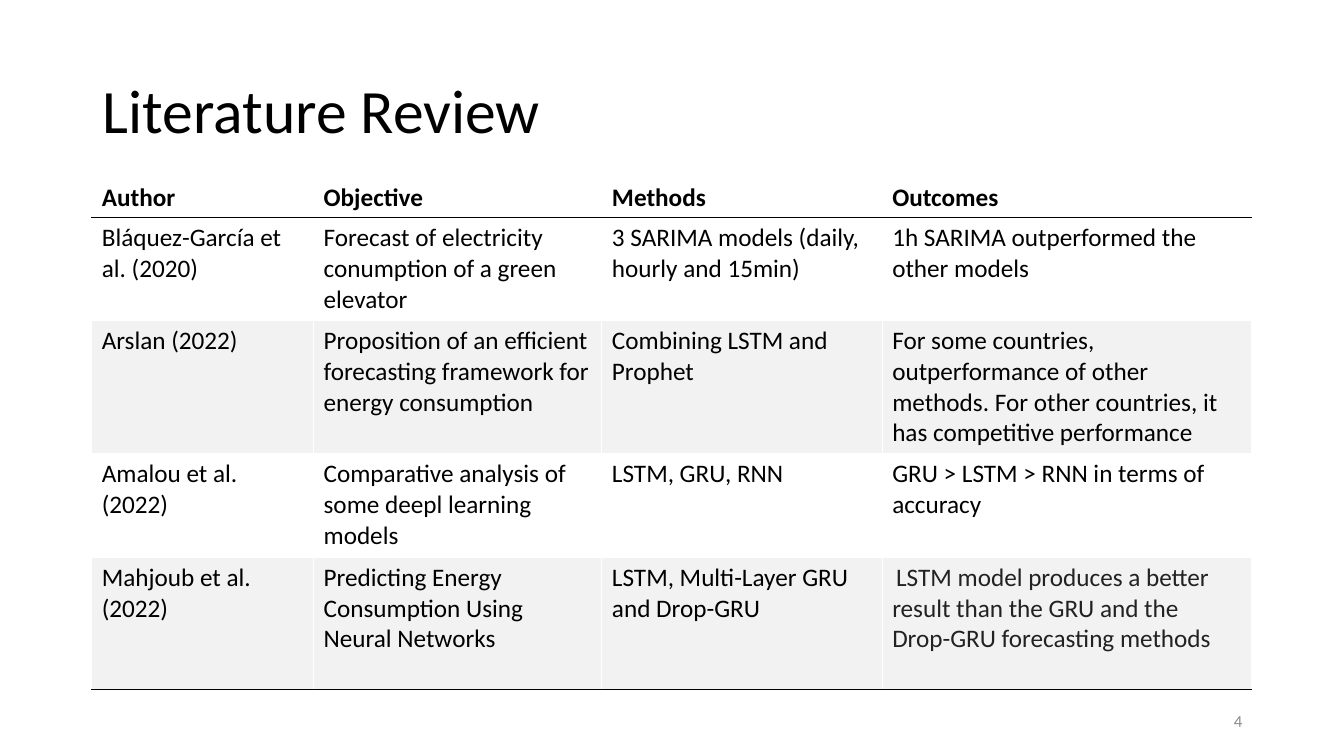
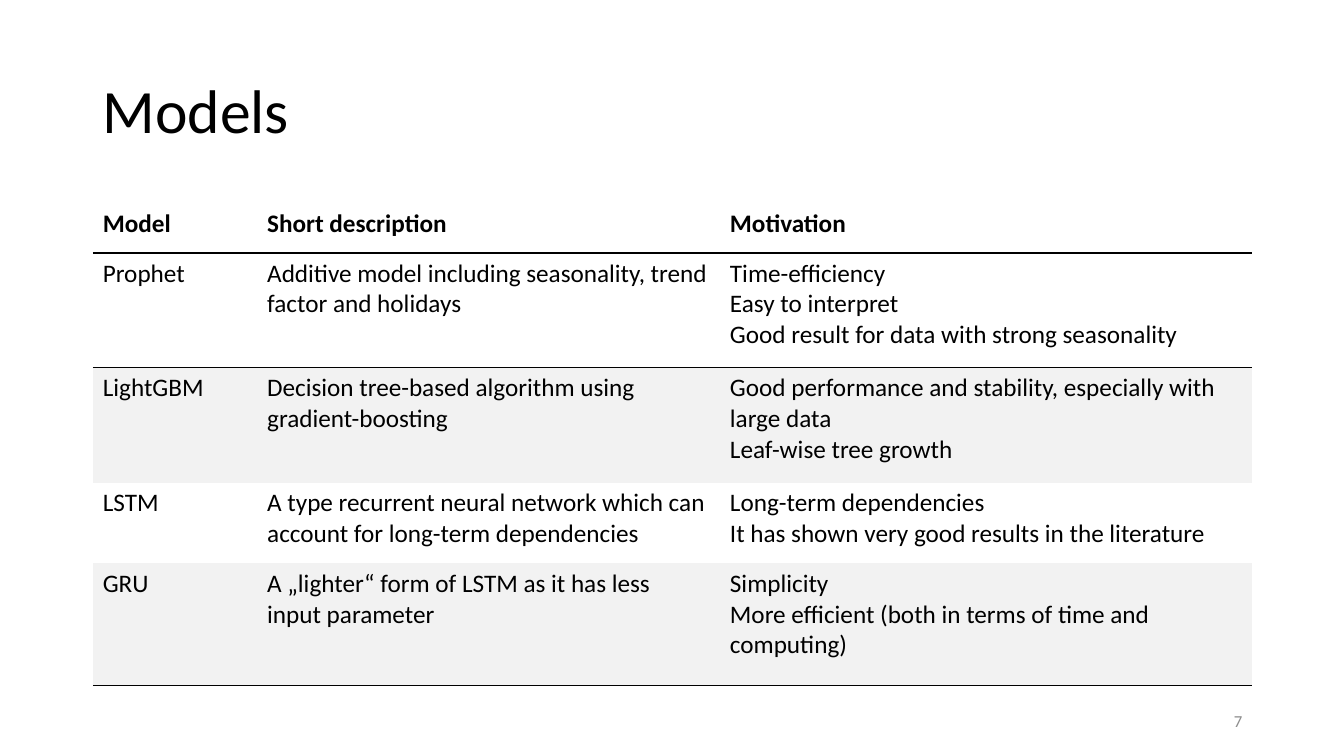
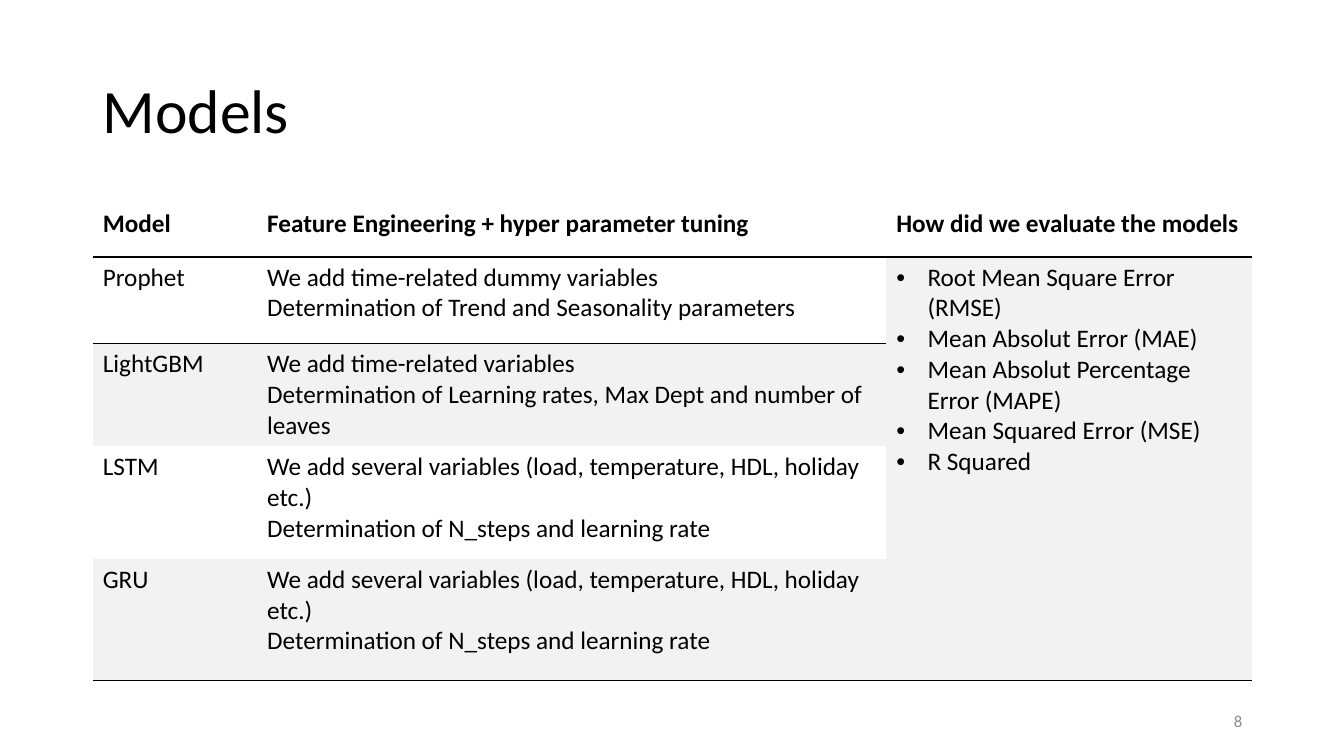
from lxml.etree import SubElement
from pptx import Presentation
from pptx.dml.color import RGBColor
from pptx.enum.text import MSO_ANCHOR, PP_ALIGN
from pptx.oxml.ns import qn
from pptx.util import Inches, Pt

# Shared look
FONT = "Calibri"
BLACK, WHITE, BAND, GREY, INK = "000000", "FFFFFF", "F2F2F2", "8C8C8C", "222222"
BODY_SIZE = 18
BULLET_INDENT = Inches(0.31)
PLAIN_STYLE = "{2D5ABB26-0587-4C30-8999-92F81FD0307C}"  # no fills, no grid

# A cell is text with one paragraph per line, or a list of (text, size, font, colour) spans.
# "ruled" lists the rows with a black line below; "grid" colours all other edges.
SLIDES = [
    {
        "title": "Literature Review", "number": "4", "left": 0.91, "top": 1.76,
        "columns": [2.2, 2.86, 2.78, 3.66],
        "heights": [0.4, 1.02, 1.32, 1.03, 1.31],
        "ruled": {0, 4}, "grid": WHITE, "merge": None,
        "rows": [
            ["Author", "Objective", "Methods", "Outcomes"],
            ["Bláquez-García et al. (2020)",
             "Forecast of electricity conumption of a green elevator",
             "3 SARIMA models (daily, hourly and 15min)",
             "1h SARIMA outperformed the other models"],
            ["Arslan (2022)",
             "Proposition of an efficient forecasting framework for energy consumption",
             "Combining LSTM and Prophet",
             "For some countries, outperformance of other methods. "
             "For other countries, it has competitive performance"],
            ["Amalou et al. (2022)",
             "Comparative analysis of some deepl learning models",
             "LSTM, GRU, RNN",
             "GRU > LSTM > RNN in terms of accuracy"],
            ["Mahjoub et al. (2022)",
             "Predicting Energy Consumption Using Neural Networks",
             "LSTM, Multi-Layer GRU and Drop-GRU",
             [(" ", 10, "Arial", INK),
              ("LSTM model produces a better result than the GRU and the "
               "Drop-GRU forecasting methods", BODY_SIZE, FONT, INK)]],
        ],
    },
    {
        "title": "Models", "number": "7", "left": 0.92, "top": 2.02,
        "columns": [1.63, 4.59, 5.28],
        "heights": [0.49, 1.14, 1.14, 0.8, 1.21],
        "ruled": {0, 1, 4}, "grid": None, "merge": None,
        "rows": [
            ["Model", "Short description", "Motivation"],
            ["Prophet",
             "Additive model including seasonality, trend factor and holidays",
             "Time-efficiency\nEasy to interpret\n"
             "Good result for data with strong seasonality"],
            ["LightGBM",
             "Decision tree-based algorithm using gradient-boosting",
             "Good performance and stability, especially with large data\n"
             "Leaf-wise tree growth"],
            ["LSTM",
             "A type recurrent neural network which can account for long-term dependencies",
             "Long-term dependencies\nIt has shown very good results in the literature"],
            ["GRU",
             "A „lighter“ form of LSTM as it has less input parameter",
             "Simplicity\nMore efficient (both in terms of time and computing)"],
        ],
    },
    {
        "title": "Models", "number": "8", "left": 0.92, "top": 2.02,
        "columns": [1.63, 6.24, 3.63],
        "heights": [0.53, 0.86, 1.02, 1.12, 1.2],
        "ruled": {0, 1, 4}, "grid": None, "merge": ((1, 2), (4, 2)),
        "rows": [
            ["Model", "Feature Engineering + hyper parameter tuning",
             "How did we evaluate the models"],
            ["Prophet",
             "We add time-related dummy variables\n"
             "Determination of Trend and Seasonality parameters",
             "•Root Mean Square Error (RMSE)\n•Mean Absolut Error (MAE)\n"
             "•Mean Absolut Percentage Error (MAPE)\n•Mean Squared Error (MSE)\n•R Squared"],
            ["LightGBM",
             "We add time-related variables\n"
             "Determination of Learning rates, Max Dept and number of leaves"],
            *([name, "We add several variables (load, temperature, HDL, holiday etc.)\n"
                     "Determination of N_steps and learning rate"]
              for name in ("LSTM", "GRU")),
        ],
    },
]


def color(value):
    return RGBColor.from_string(value)


def add_span(para, text, size, font=FONT, ink=BLACK, bold=False):
    span = para.add_run()
    span.text = text
    span.font.size = Pt(size)
    span.font.name = font
    span.font.bold = bold
    span.font.color.rgb = color(ink)


def add_text(page, place, text, size, ink, align, line_spacing=1.0):
    box = page.shapes.add_textbox(*(Inches(length) for length in place))
    frame = box.text_frame
    frame.word_wrap = True
    frame.vertical_anchor = MSO_ANCHOR.MIDDLE
    para = frame.paragraphs[0]
    para.alignment = align
    para.line_spacing = line_spacing
    add_span(para, text, size, ink=ink)


def add_bullet(para):
    properties = para._p.get_or_add_pPr()
    properties.set("marL", str(BULLET_INDENT))
    properties.set("indent", str(-BULLET_INDENT))
    SubElement(properties, qn("a:buFont"), typeface="Arial")
    SubElement(properties, qn("a:buChar"), char="•")


def fill_text(cell, content, bold):
    frame = cell.text_frame
    if isinstance(content, list):
        for span in content:
            add_span(frame.paragraphs[0], *span)
        return
    for index, line in enumerate(content.split("\n")):
        para = frame.add_paragraph() if index else frame.paragraphs[0]
        if line.startswith("•"):
            add_bullet(para)
        add_span(para, line.removeprefix("•"), BODY_SIZE, bold=bold)


def set_borders(cell, edges):
    """Edges are (side, colour) in the order L, R, T, B; None draws no line."""
    properties = cell._tc.get_or_add_tcPr()
    for side, ink in edges:
        line = SubElement(properties, qn("a:ln" + side), w=str(Pt(1)))
        if ink is None:
            SubElement(line, qn("a:noFill"))
        else:
            SubElement(SubElement(line, qn("a:solidFill")), qn("a:srgbClr"), val=ink)


def add_review_table(page, slide):
    columns, heights, grid = slide["columns"], slide["heights"], slide["grid"]
    frame = page.shapes.add_table(
        len(heights), len(columns), Inches(slide["left"]), Inches(slide["top"]),
        Inches(sum(columns)), Inches(sum(heights)))
    table = frame.table
    table.first_row = table.horz_banding = False
    table._tbl.tblPr.find(qn("a:tableStyleId")).text = PLAIN_STYLE
    for column, width in zip(table.columns, columns):
        column.width = Inches(width)
    for row, height in zip(table.rows, heights):
        row.height = Inches(height)
    if slide["merge"]:
        first, last = slide["merge"]
        table.cell(*first).merge(table.cell(*last))

    def rule_below(row):
        return BLACK if row in slide["ruled"] else grid

    for r, contents in enumerate(slide["rows"]):
        for c, content in enumerate(contents):
            cell = table.cell(r, c)
            bottom = r + cell.span_height - 1 if cell.is_merge_origin else r
            set_borders(cell, [("L", grid), ("R", grid),
                               ("T", rule_below(r - 1)), ("B", rule_below(bottom))])
            if cell.is_merge_origin or (r and r % 2 == 0):
                cell.fill.solid()
                cell.fill.fore_color.rgb = color(BAND)
            else:
                cell.fill.background()
            fill_text(cell, content, bold=r == 0)


def main():
    deck = Presentation()
    deck.slide_width, deck.slide_height = Inches(13.33), Inches(7.5)
    for slide in SLIDES:
        page = deck.slides.add_slide(deck.slide_layouts[6])
        add_text(page, (0.92, 0.4, 11.5, 1.45), slide["title"], 44, BLACK, PP_ALIGN.LEFT, 0.9)
        add_review_table(page, slide)
        add_text(page, (9.42, 6.95, 3, 0.4), slide["number"], 12, GREY, PP_ALIGN.RIGHT)
    deck.save("out.pptx")


if __name__ == "__main__":
    main()
